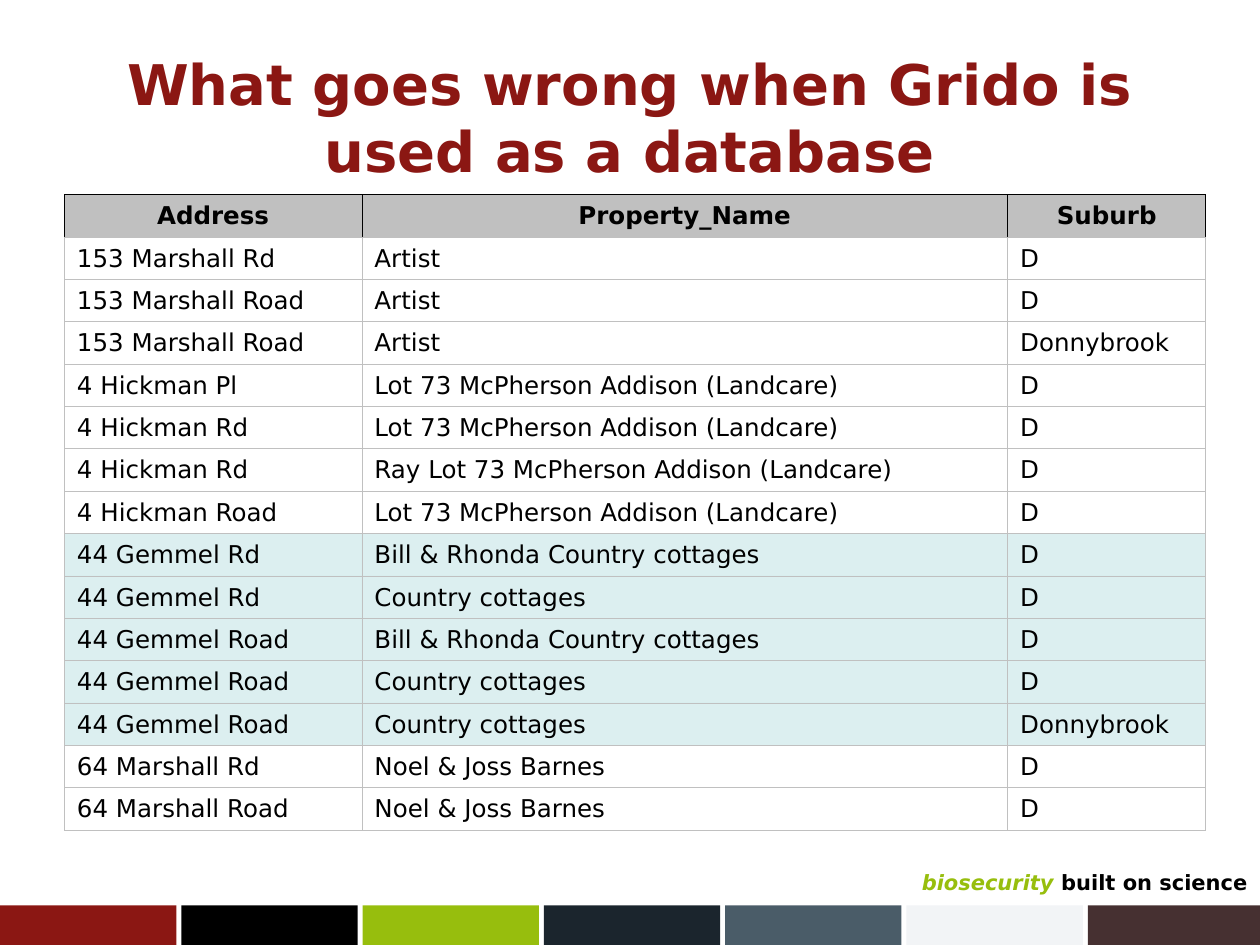
"""Build a slide that lists inconsistent address records kept in a spreadsheet."""
from dataclasses import dataclass
from typing import NamedTuple

from lxml import etree
from pptx import Presentation
from pptx.dml import color as dml
from pptx.enum import shapes, text
from pptx.oxml import ns
from pptx.util import Pt


@dataclass(frozen=True)
class Theme:
    font: str = "DejaVu Sans"
    red: str = "8B1713"
    black: str = "000000"
    lime: str = "97BE0D"
    navy: str = "1B252D"
    slate: str = "4A5C68"
    pale: str = "F2F4F6"
    brown: str = "463031"
    grey: str = "C0C0C0"
    aqua: str = "BBE0E3"
    head: float = 32
    body: float = 14
    foot: float = 12
    rule: float = 0.45


class Box(NamedTuple):
    left: float
    top: float
    width: float
    height: float

    def place(self) -> list:
        """Return the box as lengths."""
        return [Pt(side) for side in self]


class Span(NamedTuple):
    words: str
    size: float
    color: str = "000000"
    bold: bool = False
    slant: bool = False


class Group(NamedTuple):
    rows: list
    tint: bool = False


THEME = Theme()
TITLE = Box(36, 21.6, 648, 90)
TABLE = Box(36.8, 111.2, 652.3, 363.45)
MOTTO = Box(512.6, 489.6, 207.4, 28.8)
TILE = Box(0, 517.4, 100.8, 22.6)
STEP = 103.6
WIDTHS = (170, 369, 113.3)
TILES = (THEME.red, THEME.black, THEME.lime, THEME.navy,
         THEME.slate, THEME.pale, THEME.brown)
HEADS = ("Address", "Property_Name", "Suburb")
LOT = "Lot 73 McPherson Addison (Landcare)"
STAY = "Country cottages"
PAIR = "Bill & Rhonda Country cottages"
HOME = "Noel & Joss Barnes"
TOWN = "Donnybrook"
GROUPS = (
    Group([("153 Marshall Rd", "Artist", "D"),
           ("153 Marshall Road", "Artist", "D"),
           ("153 Marshall Road", "Artist", TOWN),
           ("4 Hickman Pl", LOT, "D"),
           ("4 Hickman Rd", LOT, "D"),
           ("4 Hickman Rd", f"Ray {LOT}", "D"),
           ("4 Hickman Road", LOT, "D")]),
    Group([("44 Gemmel Rd", PAIR, "D"),
           ("44 Gemmel Rd", STAY, "D"),
           ("44 Gemmel Road", PAIR, "D"),
           ("44 Gemmel Road", STAY, "D"),
           ("44 Gemmel Road", STAY, TOWN)], tint=True),
    Group([("64 Marshall Rd", HOME, "D"),
           ("64 Marshall Road", HOME, "D")]),
)


def rgb(code: str) -> dml.RGBColor:
    """Turn a hex code into a colour."""
    return dml.RGBColor.from_string(code)


def write(frame, spans: list, align) -> None:
    """Add the spans to the first paragraph, run by run."""
    para = frame.paragraphs[0]
    para.alignment = align
    for span in spans:
        run = para.add_run()
        run.text = span.words
        font = run.font
        font.name, font.size = THEME.font, Pt(span.size)
        font.bold, font.italic = span.bold, span.slant
        font.color.rgb = rgb(span.color)


def edge(props, side: str, color: str) -> None:
    """Add one border line to a cell."""
    line = etree.SubElement(props, ns.qn(f"a:ln{side}"), w=str(Pt(THEME.rule)))
    fill = etree.SubElement(line, ns.qn("a:solidFill"))
    etree.SubElement(fill, ns.qn("a:srgbClr"), val=color)


def draw_cell(cell, words: str, head: bool, tint: bool) -> None:
    """Write, border and fill one cell."""
    align = text.PP_ALIGN.CENTER if head else text.PP_ALIGN.LEFT
    write(cell.text_frame, [Span(words, THEME.body, bold=head)], align)
    cell.vertical_anchor = text.MSO_ANCHOR.BOTTOM
    props = cell._tc.get_or_add_tcPr()
    for side in "LRTB":
        edge(props, side, THEME.black if head and side != "B" else THEME.grey)
    if not (head or tint):
        cell.fill.background()
        return
    cell.fill.solid()
    cell.fill.fore_color.rgb = rgb(THEME.grey if head else THEME.aqua)
    if tint:
        shade = props.find(ns.qn("a:solidFill"))[0]
        etree.SubElement(shade, ns.qn("a:alpha"), val="50000")


def draw_table(slide) -> None:
    """Draw the table of records."""
    rows = [(HEADS, True, False)]
    rows += [(row, False, group.tint) for group in GROUPS for row in group.rows]
    grid = slide.shapes.add_table(len(rows), len(HEADS), *TABLE.place()).table
    grid.first_row = grid.horz_banding = False
    for col, width in zip(grid.columns, WIDTHS):
        col.width = Pt(width)
    for line, (row, head, tint) in zip(grid.rows, rows):
        line.height = Pt(TABLE.height / len(rows))
        for cell, words in zip(line.cells, row):
            draw_cell(cell, words, head, tint)


def draw_title(slide) -> None:
    """Place and write the title."""
    title = slide.shapes.title
    title.left, title.top, title.width, title.height = TITLE.place()
    frame = title.text_frame
    frame.auto_size = text.MSO_AUTO_SIZE.NONE
    frame.vertical_anchor = text.MSO_ANCHOR.MIDDLE
    words = "What goes wrong when Grido is used as a database"
    write(frame, [Span(words, THEME.head, THEME.red, True)],
          text.PP_ALIGN.CENTER)


def draw_foot(slide) -> None:
    """Draw the colour tiles and the motto."""
    for i, color in enumerate(TILES):
        box = TILE._replace(left=i * STEP)
        tile = slide.shapes.add_shape(shapes.MSO_SHAPE.RECTANGLE, *box.place())
        tile.shadow.inherit = False
        tile.fill.solid()
        tile.fill.fore_color.rgb = rgb(color)
        tile.line.fill.background()
    frame = slide.shapes.add_textbox(*MOTTO.place()).text_frame
    frame.word_wrap = True
    frame.vertical_anchor = text.MSO_ANCHOR.MIDDLE
    write(frame, [Span("biosecurity ", THEME.foot, THEME.lime, True, True),
                  Span("built on science", THEME.foot, bold=True)],
          text.PP_ALIGN.RIGHT)


def main() -> None:
    """Build and save the slide."""
    deck = Presentation()
    deck.slide_width, deck.slide_height = Pt(720), Pt(540)
    slide = deck.slides.add_slide(deck.slide_layouts.get_by_name("Title Only"))
    draw_foot(slide)
    draw_title(slide)
    draw_table(slide)
    deck.save("out.pptx")


if __name__ == "__main__":
    main()
